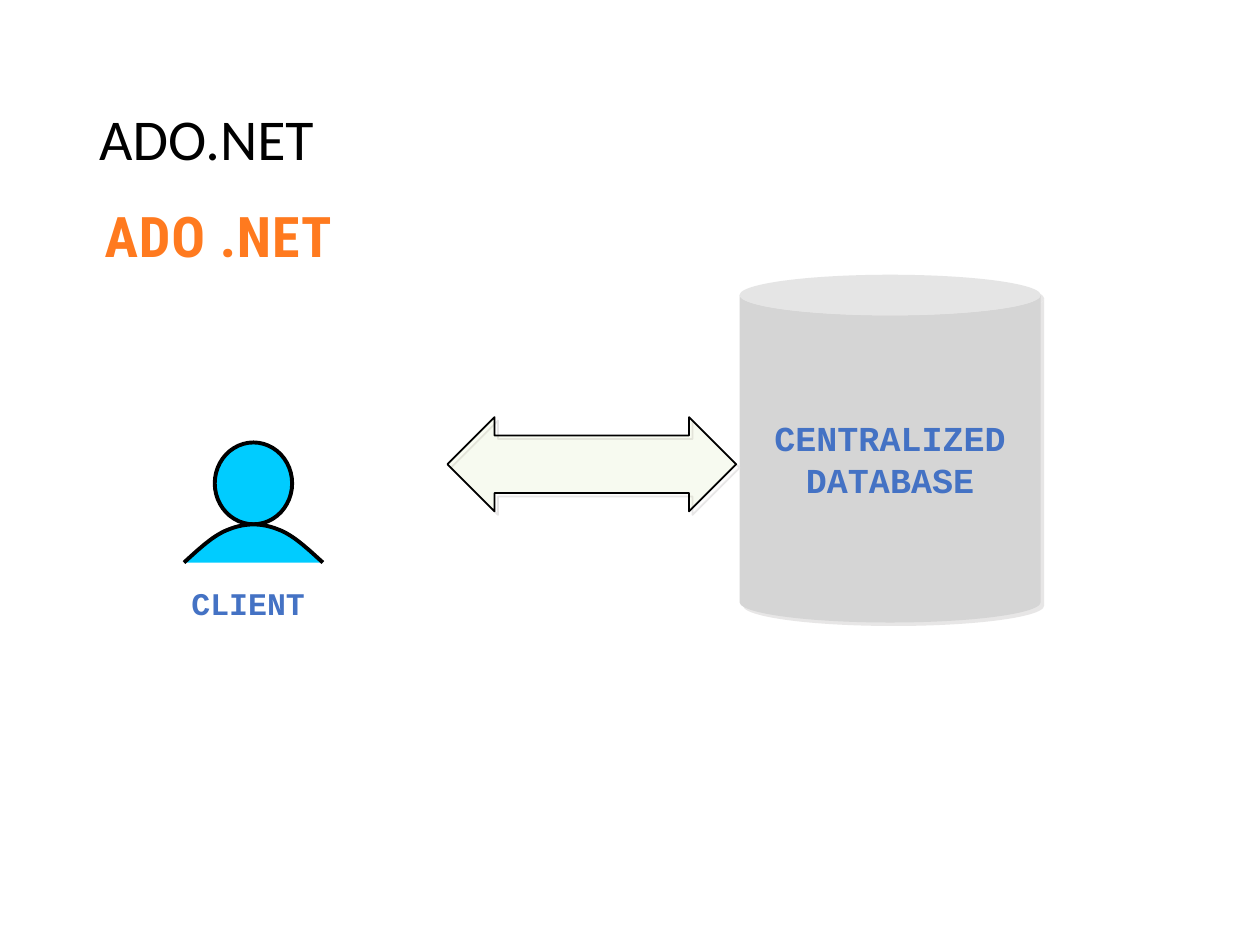
from lxml import etree
from pptx import Presentation
from pptx.dml.color import RGBColor
from pptx.enum import shapes, text
from pptx.oxml.ns import qn
from pptx.util import Cm, Pt

BLACK = RGBColor(0x00, 0x00, 0x00)
CYAN = RGBColor(0x00, 0xCC, 0xFF)
GREY = RGBColor(0xD5, 0xD5, 0xD5)
GREEN = RGBColor(0x99, 0xCC, 0x00)
BLUE = RGBColor(0x44, 0x72, 0xC4)
ORANGE = RGBColor(0xFF, 0x7A, 0x1F)
SHADOW = RGBColor(0xE7, 0xE6, 0xE6)


def style(sp, fill, line=None, width=1):
    """Plain fill and outline, without the theme shadow."""
    sp.shadow.inherit = False
    sp.fill.solid()
    sp.fill.fore_color.rgb = fill
    if line is None:
        sp.line.fill.background()
    else:
        sp.line.color.rgb = line
        sp.line.width = Pt(width)


def add_shadow(sp):
    effects = sp._element.spPr.find(qn("a:effectLst"))
    outer = etree.SubElement(effects, qn("a:outerShdw"), dist=str(Pt(2.8)),
                             dir="2700000", algn="ctr", rotWithShape="0")
    etree.SubElement(outer, qn("a:srgbClr"), val=str(SHADOW))


def write(sp, words, font, size, color, bold=False, align=None,
          anchor=text.MSO_ANCHOR.TOP, wrap=True):
    tf = sp.text_frame
    tf.word_wrap = wrap
    tf.vertical_anchor = anchor
    p = tf.paragraphs[0]
    p.alignment = align
    r = p.add_run()
    r.text = words
    r.font.name, r.font.size, r.font.bold = font, Pt(size), bold
    r.font.color.rgb = color
    return p, r


def add_headings(s, x, y, w):
    # Slide title
    title = s.shapes.add_textbox(Cm(x), Cm(y), Cm(w), Cm(3.68))
    p, r = write(title, "ADO.NET", "Calibri", 33, BLACK,
                 anchor=text.MSO_ANCHOR.MIDDLE)
    p.line_spacing = 0.9

    # Orange heading with wider letter spacing
    heading = s.shapes.add_textbox(Cm(x - 0.45), Cm(y + 2.92), Cm(6.2), Cm(1.6))
    p, r = write(heading, "ADO .NET", "Roboto Condensed", 32, ORANGE, True,
                 text.PP_ALIGN.CENTER, wrap=False)
    r._r.get_or_add_rPr().set("spc", "50")


def bezier(p0, p1, p2, p3, steps=16):
    """Points along a cubic curve, after its start."""
    for i in range(1, steps + 1):
        t = i / steps
        v = 1 - t
        yield tuple(v**3 * a + 3 * v * v * t * b + 3 * v * t * t * c + t**3 * d
                    for a, b, c, d in zip(p0, p1, p2, p3))


def add_client(s, x, y, w):
    group = s.shapes.add_group_shape()

    # Head, centred over the shoulders
    head_w, head_h = 1.56, 1.65
    head = group.shapes.add_shape(shapes.MSO_SHAPE.OVAL, Cm(x + (w - head_w) / 2),
                                  Cm(y), Cm(head_w), Cm(head_h))
    style(head, CYAN, BLACK, 2.25)

    # Shoulders: one half curve, mirrored
    left = [(0, 0.77), (0.3, 0.5), (0.6, 0.21), (0.91, 0.1),
            (1.24, -0.03), (1.55, -0.03)]
    curve = left + [(w - px, py) for px, py in reversed(left)]
    top = y + head_h
    points = [(Cm(x + px), Cm(top + py)) for i in (0, 3, 8)
              for px, py in bezier(*(curve[i:i + 4] if i != 3 else
                                     [curve[j] for j in (3, 4, 7, 8)]))]
    builder = group.shapes.build_freeform(Cm(x), Cm(top + left[0][1]))
    builder.add_line_segments(points, close=False)
    style(builder.convert_to_shape(), CYAN, BLACK, 2.25)

    # Label
    label = s.shapes.add_textbox(Cm(x - 0.1), Cm(y + 2.72), Cm(2.82), Cm(1.02))
    write(label, "CLIENT", "Courier New", 18, BLUE, True, wrap=False)


def add_database(s, x, y, w, h):
    can = s.shapes.add_shape(shapes.MSO_SHAPE.CAN, Cm(x), Cm(y), Cm(w), Cm(h))
    can.adjustments[0] = 0.135
    style(can, GREY)
    add_shadow(can)
    write(can, "CENTRALIZED DATABASE", "Courier New", 20, BLUE, True,
          text.PP_ALIGN.CENTER, text.MSO_ANCHOR.MIDDLE)


def add_exchange_arrow(s, x, y, w, h):
    # Upright arrow turned a quarter about the middle of the box
    arrow = s.shapes.add_shape(shapes.MSO_SHAPE.UP_DOWN_ARROW, Cm(x + (w - h) / 2),
                               Cm(y + (h - w) / 2), Cm(h), Cm(w))
    arrow.rotation = 90
    arrow.adjustments[0] = 0.5
    arrow.adjustments[1] = 0.61
    style(arrow, GREEN, BLACK)
    color = arrow._element.spPr.find(qn("a:solidFill"))[0]
    etree.SubElement(color, qn("a:alpha"), val="5000")
    add_shadow(arrow)


def main():
    prs = Presentation()
    prs.slide_width, prs.slide_height = Cm(25.4), Cm(19.05)
    s = prs.slides.add_slide(prs.slide_layouts[6])
    add_client(s, 3.71, 8.92, 2.8)
    add_database(s, 14.91, 5.54, 6.07, 7.01)
    add_exchange_arrow(s, 9.02, 8.41, 5.82, 1.9)
    add_headings(s, 1.75, 1.02, 21.89)
    prs.save("out.pptx")


if __name__ == "__main__":
    main()
